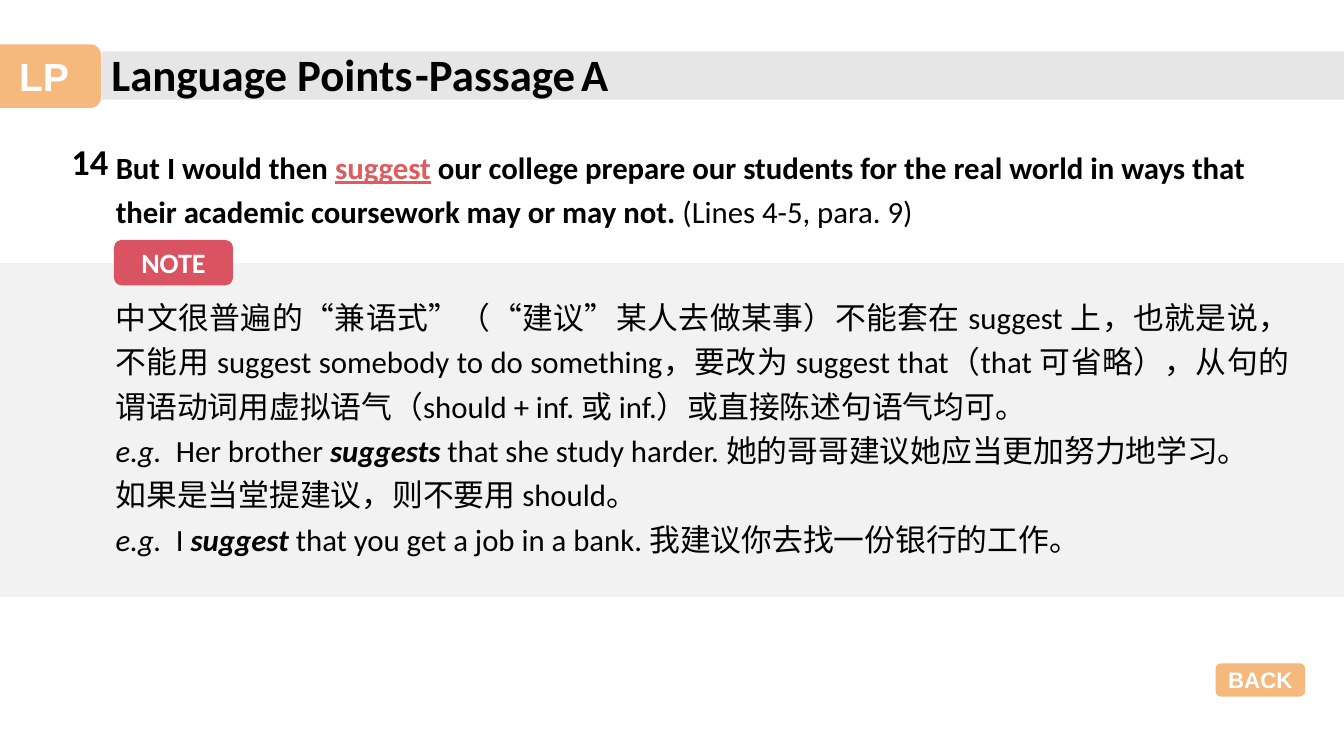
from lxml import etree
from pptx import Presentation
from pptx.dml.color import RGBColor
from pptx.enum.shapes import MSO_SHAPE
from pptx.enum.text import MSO_ANCHOR, PP_ALIGN
from pptx.oxml.ns import qn
from pptx.util import Pt

RECT, ROUNDED = MSO_SHAPE.RECTANGLE, MSO_SHAPE.ROUNDED_RECTANGLE
LEFT, CENTER, JUSTIFY = PP_ALIGN.LEFT, PP_ALIGN.CENTER, PP_ALIGN.JUSTIFY
MIDDLE = MSO_ANCHOR.MIDDLE

COLORS = {
    "bar": "E7E6E6", "band": "F2F2F2", "orange": "F19B48", "red": "DA5362",
    "keyword": "DD5C60", "black": "000000", "white": "FFFFFF",
}
BOLD, ITALIC = {"bold": True}, {"italic": True}
STRESSED = BOLD | ITALIC
KEYWORD = {"bold": True, "underline": True, "color": "keyword"}

SENTENCE = [
    [("But I would then ", BOLD), ("suggest", KEYWORD),
     (" our college prepare our students for the real world in ways that", BOLD)],
    [("their academic coursework may or may not. ", BOLD), ("(Lines 4-5, para. 9)", {})],
]
EXPLANATION = [
    [("中文很普遍的“兼语式”（“建议”某人去做某事）不能套在 suggest 上，也就是说，"
      "不能用 suggest somebody to do something，要改为 suggest that（that 可省略），"
      "从句的谓语动词用虚拟语气（should + inf. 或 inf.）或直接陈述句语气均可。", {})],
    [("e.g.", ITALIC), ("\tHer brother ", {}), ("suggests", STRESSED),
     (" that she study harder. 她的哥哥建议她应当更加努力地学习。", {})],
    [("如果是当堂提建议，则不要用 should。", {})],
    [("e.g.", ITALIC), ("\tI ", {}), ("suggest", STRESSED),
     (" that you get a job in a bank. 我建议你去找一份银行的工作。", {})],
]
EXAMPLE_TAB = 43


def rgb(name):
    return RGBColor.from_string(COLORS[name])


def add_panel(slide, box, color, kind=RECT, opacity=None):
    panel = slide.shapes.add_shape(kind, *map(Pt, box))
    panel.shadow.inherit = False
    panel.fill.solid()
    panel.fill.fore_color.rgb = rgb(color)
    panel.line.fill.background()
    if opacity:
        tint = panel.fill._xPr.find(".//" + qn("a:srgbClr"))
        etree.SubElement(tint, qn("a:alpha")).set("val", str(opacity * 1000))
    return panel


def write(frame, paragraphs, size, font="Calibri", color="black", align=LEFT, spacing=None):
    """Fill a text frame with paragraphs given as lists of (text, format) runs."""
    frame.word_wrap = True
    for number, runs in enumerate(paragraphs):
        paragraph = frame.add_paragraph() if number else frame.paragraphs[0]
        paragraph.alignment = align
        if spacing:
            paragraph.line_spacing = spacing
        if any("\t" in text for text, _ in runs):
            tabs = etree.SubElement(paragraph._p.get_or_add_pPr(), qn("a:tabLst"))
            etree.SubElement(tabs, qn("a:tab"), pos=str(Pt(EXAMPLE_TAB)), algn="l")
        for text, changes in runs:
            run = paragraph.add_run()
            run.text = text
            values = {"name": font, "size": size, "color": color} | changes
            run.font.color.rgb = rgb(values.pop("color"))
            values["size"] = Pt(values["size"])
            for attribute, value in values.items():
                setattr(run.font, attribute, value)


def add_text(slide, box, paragraphs, size, **style):
    write(slide.shapes.add_textbox(*map(Pt, box)).text_frame, paragraphs, size, **style)


def add_badge(slide, box, label, size, color, font="Arial", opacity=None):
    badge = add_panel(slide, box, color, ROUNDED, opacity)
    frame = badge.text_frame
    frame.vertical_anchor = MIDDLE
    for side in ("left", "right", "top", "bottom"):
        setattr(frame, f"margin_{side}", 0)
    write(frame, [[(label, BOLD)]], size, font=font, color="white", align=CENTER)


def add_header(slide, left, top, width, height):
    tab_width = 72.5
    add_panel(slide, (left + tab_width, top + 7.2, width - tab_width, 34.5), "bar")
    add_text(slide, (left + tab_width, top, 349, height), [[("Language Points", BOLD)]], 32)
    add_badge(slide, (left - 9.2, top + 2.2, 81.4, 45.4), "LP", 28, "orange", opacity=71)
    add_text(slide, (left + 289.5, top, 178, height),
             [[("-Passage", BOLD), (" ", {"size": 18}), ("A", BOLD)]], 32)


def add_sentence(slide, left, top, width, height):
    number_width = 31.7
    add_text(slide, (left, top, 45.4, 38.9), [[("14", BOLD)]], 26)
    add_text(slide, (left + number_width, top + 1.4, width - number_width, height),
             SENTENCE, 22, align=JUSTIFY, spacing=1.2)


def add_note(slide, left, top, width, height):
    add_panel(slide, (left, top, width, height), "band")
    add_text(slide, (left + 75.6, top + 16.6, 852.5, 196.6),
             EXPLANATION, 22, align=JUSTIFY, spacing=1.2)
    add_badge(slide, (left + 81.4, top - 16.6, 85, 32.4), "NOTE", 20, "red", font="Calibri")


def main():
    deck = Presentation()
    deck.slide_width, deck.slide_height = Pt(960), Pt(540)
    slide = deck.slides.add_slide(deck.slide_layouts[6])
    add_header(slide, 0, 29.5, 960, 46)
    add_sentence(slide, 43.9, 95.8, 879, 69)
    add_note(slide, 0, 188, 960, 238.3)
    add_badge(slide, (868.3, 473.8, 64, 23.8), "BACK", 16, "orange", opacity=71)
    deck.save("out.pptx")


if __name__ == "__main__":
    main()
